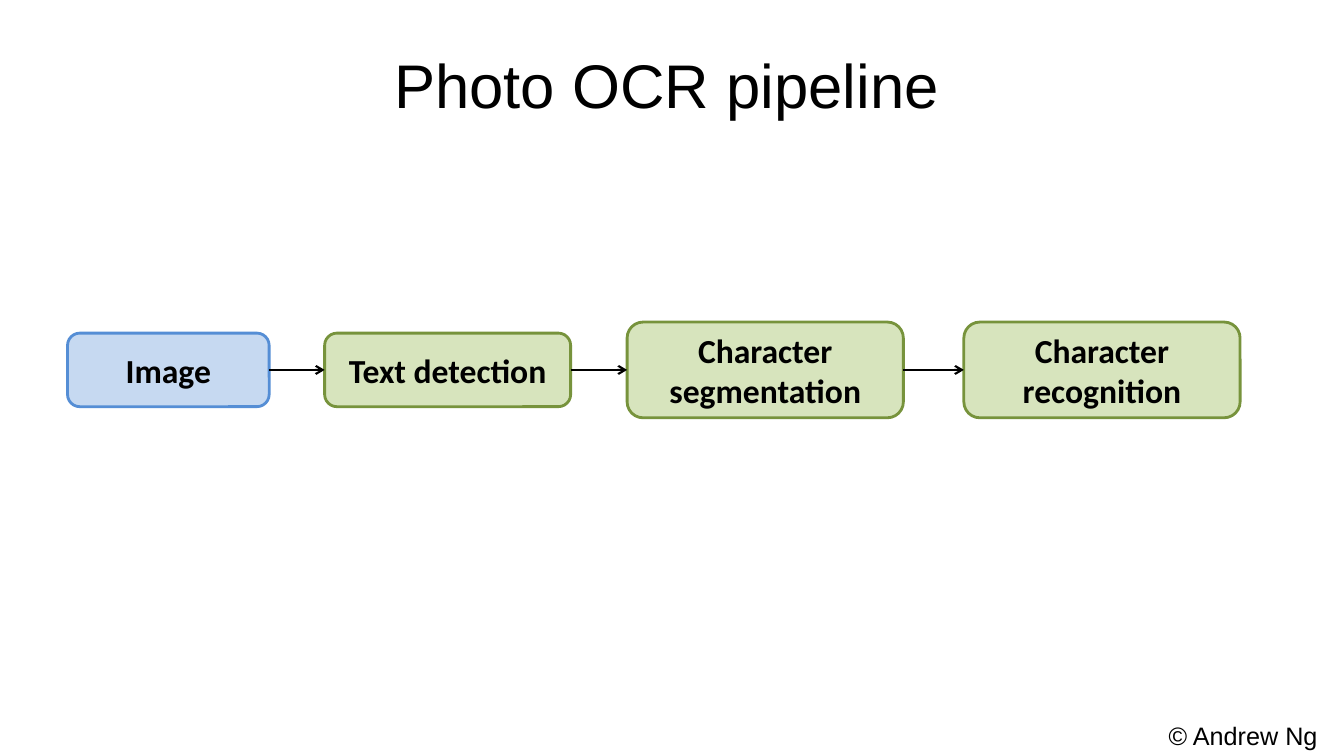
from dataclasses import dataclass
from itertools import pairwise

from lxml.etree import SubElement
from pptx import Presentation
from pptx.dml.color import RGBColor
from pptx.enum.shapes import MSO_CONNECTOR, MSO_SHAPE
from pptx.enum.text import MSO_ANCHOR, PP_ALIGN
from pptx.oxml.ns import qn
from pptx.shapes.autoshape import Shape
from pptx.slide import Slide
from pptx.text.text import TextFrame
from pptx.util import Inches, Pt


@dataclass(frozen=True)
class Theme:
    ink: str = "000000"
    input_fill: str = "C6D9F1"
    input_line: str = "558ED5"
    step_fill: str = "D7E4BD"
    step_line: str = "77933C"
    heading_font: str = "Arial"
    box_font: str = "Calibri"
    title_size: float = 44
    box_size: float = 24
    credit_size: float = 18
    border: float = 2
    arrow: float = 1.5


THEME = Theme()


@dataclass(frozen=True)
class Stage:
    label: str
    left: float
    width: float
    height: float
    fill: str = THEME.step_fill
    line: str = THEME.step_line


# All stages are centred on one horizontal axis
AXIS = 3.67
STAGES = [
    Stage("Image", 0.67, 2, 0.73, THEME.input_fill, THEME.input_line),
    Stage("Text detection", 3.22, 2.44, 0.73),
    Stage("Character segmentation", 6.22, 2.74, 0.95),
    Stage("Character recognition", 9.56, 2.74, 0.95),
]


def write(frame: TextFrame, text: str, font: str, size: float, bold: bool = False) -> None:
    frame.word_wrap = True
    frame.vertical_anchor = MSO_ANCHOR.MIDDLE
    para = frame.paragraphs[0]
    para.text = text
    para.alignment = PP_ALIGN.CENTER
    para.font.name = font
    para.font.size = Pt(size)
    para.font.bold = bold
    para.font.color.rgb = RGBColor.from_string(THEME.ink)


def add_stage(page: Slide, stage: Stage) -> Shape:
    box = page.shapes.add_shape(
        MSO_SHAPE.ROUNDED_RECTANGLE,
        Inches(stage.left), Inches(AXIS - stage.height / 2),
        Inches(stage.width), Inches(stage.height),
    )
    box.shadow.inherit = False
    box.fill.solid()
    box.fill.fore_color.rgb = RGBColor.from_string(stage.fill)
    box.line.color.rgb = RGBColor.from_string(stage.line)
    box.line.width = Pt(THEME.border)
    write(box.text_frame, stage.label, THEME.box_font, THEME.box_size, bold=True)
    return box


def add_arrow(page: Slide, source: Shape, target: Shape) -> None:
    arrow = page.shapes.add_connector(MSO_CONNECTOR.STRAIGHT, 0, 0, 0, 0)
    arrow.begin_connect(source, 3)
    arrow.end_connect(target, 1)
    arrow.line.color.rgb = RGBColor.from_string(THEME.ink)
    arrow.line.width = Pt(THEME.arrow)
    properties = arrow._element.spPr
    SubElement(properties.find(qn("a:ln")), qn("a:tailEnd"), type="arrow")
    SubElement(properties, qn("a:effectLst"))


def main() -> None:
    deck = Presentation()
    deck.slide_width, deck.slide_height = Inches(13.33), Inches(7.5)
    page = deck.slides.add_slide(deck.slide_layouts[5])

    # Title
    title = page.shapes.title
    title.left, title.top = Inches(0.56), Inches(0.41)
    title.width, title.height = Inches(12.11), Inches(0.84)
    write(title.text_frame, "Photo OCR pipeline", THEME.heading_font, THEME.title_size)

    # Pipeline stages, joined by arrows
    boxes = [add_stage(page, stage) for stage in STAGES]
    for source, target in pairwise(boxes):
        add_arrow(page, source, target)

    # Credit in the bottom right corner
    credit = page.shapes.add_textbox(Inches(11.33), Inches(7.1), Inches(2), Inches(0.4))
    write(credit.text_frame, "© Andrew Ng", THEME.heading_font, THEME.credit_size)

    deck.save("out.pptx")


if __name__ == "__main__":
    main()
